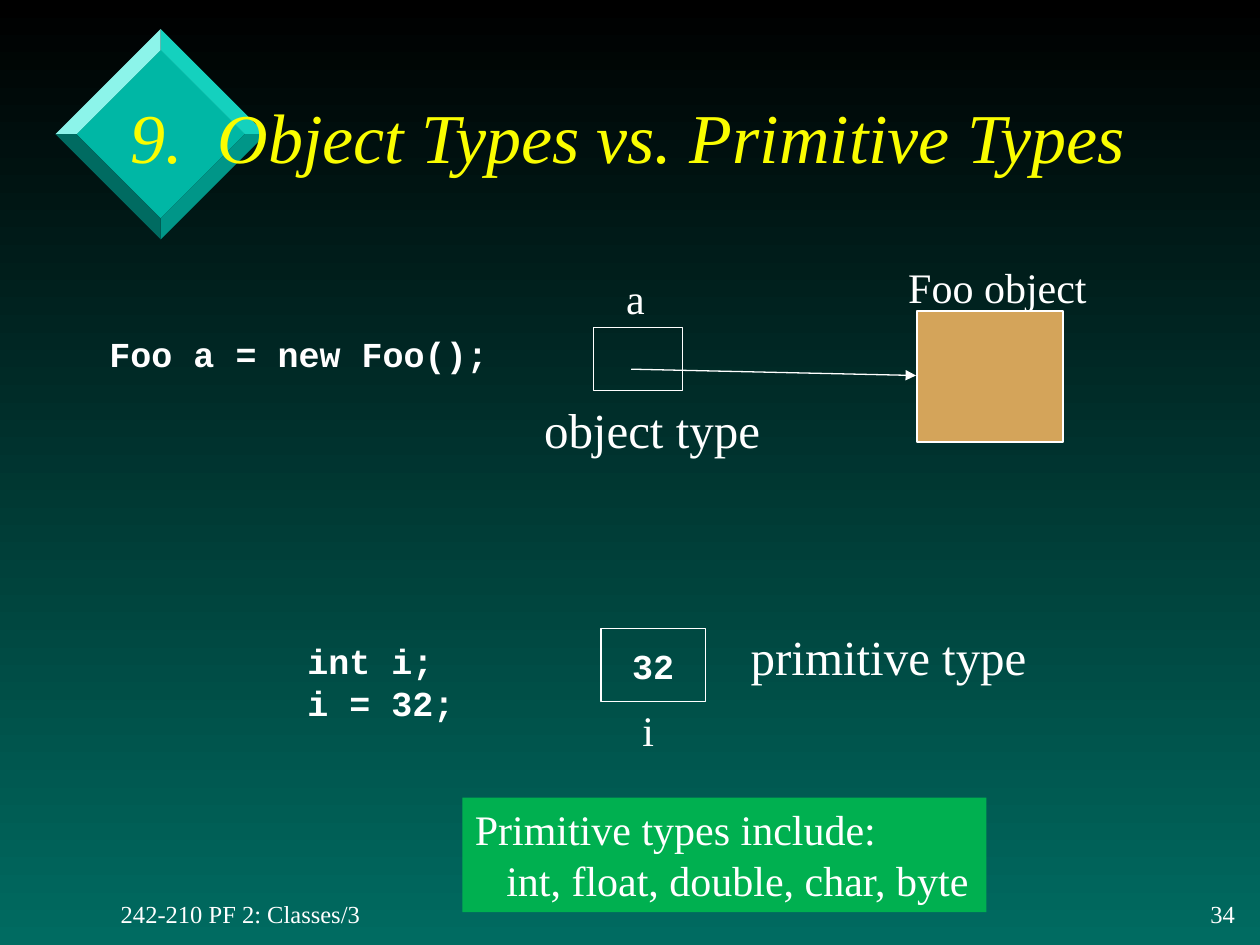
import pptx
import pptx.dml.color
import pptx.enum.dml
import pptx.enum.shapes
import pptx.enum.text
import pptx.oxml
import pptx.oxml.ns
import pptx.util
from pptx.util import Inches

COLOURS = {
    "night": "000000", "sea": "006B61", "text": "FFFFFF", "title": "FAFD00",
    "face": "00B7A5", "upper_right": "14D1BE", "upper_left": "8CF4EA",
    "lower_right": "009688", "lower_left": "006B61",
    "object": "D4A45A", "note": "00B050",
}
SERIF = {"name": "Times New Roman", "bold": False, "italic": False}
FORMATS = {
    "title": {**SERIF, "size": pptx.util.Pt(40), "italic": True},
    "kind": {**SERIF, "size": pptx.util.Pt(28)},
    "label": {**SERIF, "size": pptx.util.Pt(24)},
    "footer": {**SERIF, "size": pptx.util.Pt(14)},
    "code": {"name": "Courier New", "size": pptx.util.Pt(20), "bold": True, "italic": False},
}
ALIGN = pptx.enum.text.PP_ALIGN
ANCHOR = pptx.enum.text.MSO_ANCHOR


def rgb(name):
    """Return the named colour."""
    return pptx.dml.color.RGBColor.from_string(COLOURS[name])


def write(shape, lines, style, colour="text", align=ALIGN.LEFT, anchor=ANCHOR.TOP, wrap=False):
    """Fill a shape with formatted lines of text and return its paragraphs."""
    frame = shape.text_frame
    frame.word_wrap = wrap
    frame.vertical_anchor = anchor
    frame.text = "\n".join(lines)
    for paragraph in frame.paragraphs:
        paragraph.alignment = align
        for run in paragraph.runs:
            for attribute, value in FORMATS[style].items():
                setattr(run.font, attribute, value)
            run.font.color.rgb = rgb(colour)
    return frame.paragraphs


def add_text(slide, box, lines, style, **options):
    """Add a text box at the given box in inches."""
    return write(slide.shapes.add_textbox(*map(Inches, box)), lines, style, **options)


def add_box(slide, box, fill=None, line_width=None):
    """Add a rectangle with optional fill and white outline."""
    rectangle = slide.shapes.add_shape(
        pptx.enum.shapes.MSO_SHAPE.RECTANGLE, *map(Inches, box))
    rectangle.shadow.inherit = False
    if fill:
        rectangle.fill.solid()
        rectangle.fill.fore_color.rgb = rgb(fill)
    else:
        rectangle.fill.background()
    if line_width:
        rectangle.line.color.rgb = rgb("text")
        rectangle.line.width = pptx.util.Pt(line_width)
    else:
        rectangle.line.fill.background()
    return rectangle


def add_arrow(slide, start, end):
    """Add a white line with an arrowhead at its end."""
    arrow = slide.shapes.add_connector(
        pptx.enum.shapes.MSO_CONNECTOR.STRAIGHT, *map(Inches, start + end))
    arrow.line.color.rgb = rgb("text")
    arrow.line.width = pptx.util.Pt(0.75)
    arrow.line._get_or_add_ln().append(pptx.oxml.parse_xml(
        f'<a:tailEnd {pptx.oxml.ns.nsdecls("a")} type="triangle"/>'))
    arrow._element.spPr.append(pptx.oxml.parse_xml(
        f'<a:effectLst {pptx.oxml.ns.nsdecls("a")}/>'))


def paint_background(slide):
    """Shade the slide from black at the top to sea green at the bottom."""
    fill = slide.background.fill
    fill.gradient()
    fill.gradient_angle = 270
    for stop, colour in zip(fill.gradient_stops, ("night", "sea")):
        stop.color.rgb = rgb(colour)


def draw_diamond(slide, left, top, size):
    """Draw a bevelled diamond in a square box."""
    outer = size / 2
    inner = outer * 0.8
    centre_x, centre_y = left + outer, top + outer

    def corner(direction, radius):
        return (Inches(centre_x + direction[0] * radius),
                Inches(centre_y + direction[1] * radius))

    up, right, down, west = (0, -1), (1, 0), (0, 1), (-1, 0)
    facets = {"face": [corner(side, inner) for side in (up, west, down, right)]}
    edges = {"upper_right": (up, right), "upper_left": (up, west),
             "lower_right": (right, down), "lower_left": (west, down)}
    for name, (first, second) in edges.items():
        facets[name] = [corner(first, inner), corner(first, outer),
                        corner(second, outer), corner(second, inner)]
    for name, points in facets.items():
        builder = slide.shapes.build_freeform(*points[0], scale=1.0)
        builder.add_line_segments(points[1:], close=True)
        facet = builder.convert_to_shape()
        facet.shadow.inherit = False
        facet.fill.solid()
        facet.fill.fore_color.rgb = rgb(name)
        facet.line.fill.background()


def draw_title(slide, left, top, width, height):
    """Place the numbered heading with a tab after its number."""
    heading = add_text(slide, (left, top, width, height),
                       ["9.\tObject Types vs. Primitive Types"], "title",
                       colour="title", anchor=ANCHOR.MIDDLE, wrap=True)[0]
    heading._p.get_or_add_pPr().append(pptx.oxml.parse_xml(
        f'<a:tabLst {pptx.oxml.ns.nsdecls("a")}>'
        f'<a:tab pos="{Inches(0.69)}" algn="l"/></a:tabLst>'))


def draw_footer(slide, left, top, width, height):
    """Place the course name and slide number at both ends of a band."""
    number_width = 0.42
    add_text(slide, (left, top, 2.12, height), ["242-210 PF 2: Classes/3"],
             "footer", anchor=ANCHOR.MIDDLE)
    add_text(slide, (left + width - number_width, top, number_width, height), ["34"],
             "footer", align=ALIGN.RIGHT, anchor=ANCHOR.MIDDLE)


def draw_object_type(slide, left, top):
    """Show a variable that refers to an object."""
    add_text(slide, (left, top + 0.56, 3.92, 0.44), ["Foo a = new Foo();"], "code", wrap=True)
    add_box(slide, (left + 3.94, top + 0.57, 0.71, 0.5), line_width=0.75)
    add_arrow(slide, (left + 4.24, top + 0.9), (left + 6.5, top + 0.95))
    add_box(slide, (left + 6.51, top + 0.44, 1.16, 1.04), "object", 1)
    add_text(slide, (left + 3.45, top + 1.09, 1.93, 0.57), ["object type"], "kind")
    add_text(slide, (left + 4.1, top + 0.08, 0.35, 0.5), ["a"], "label")
    add_text(slide, (left + 6.34, top, 1.63, 0.5), ["Foo object"], "label")


def draw_primitive_type(slide, left, top):
    """Show a variable that holds its own value."""
    add_text(slide, (left, top + 0.11, 1.65, 0.77), ["int i;", "i = 32;"], "code", wrap=True)
    value = add_box(slide, (left + 2.43, top + 0.07, 0.83, 0.58), line_width=0.75)
    write(value, ["32"], "code", align=ALIGN.CENTER, anchor=ANCHOR.MIDDLE)
    add_text(slide, (left + 3.52, top, 2.41, 0.57), ["primitive type"], "kind")
    add_text(slide, (left + 2.66, top + 0.62, 0.29, 0.5), ["i"], "label")


def draw_note(slide, left, top, width, height):
    """List the primitive types on a green panel."""
    note = add_box(slide, (left, top, width, height), "note")
    names = write(note, ["Primitive types include:", "int, float, double, char, byte"],
                  "label", wrap=True)[1]
    properties = names._p.get_or_add_pPr()
    properties.set("marL", str(Inches(0.25)))
    properties.set("indent", "0")


def main():
    """Build and save the slide."""
    deck = pptx.Presentation()
    deck.slide_width, deck.slide_height = Inches(10), Inches(7.5)
    slide = deck.slides.add_slide(deck.slide_layouts[6])
    paint_background(slide)
    draw_diamond(slide, 0.44, 0.23, 1.67)
    draw_footer(slide, 0.86, 7.09, 9.04, 0.33)
    draw_title(slide, 0.94, 0.47, 8.51, 1.21)
    draw_object_type(slide, 0.77, 2.03)
    draw_primitive_type(slide, 2.34, 4.92)
    draw_note(slide, 3.67, 6.33, 4.16, 0.91)
    deck.save("out.pptx")


if __name__ == "__main__":
    main()
